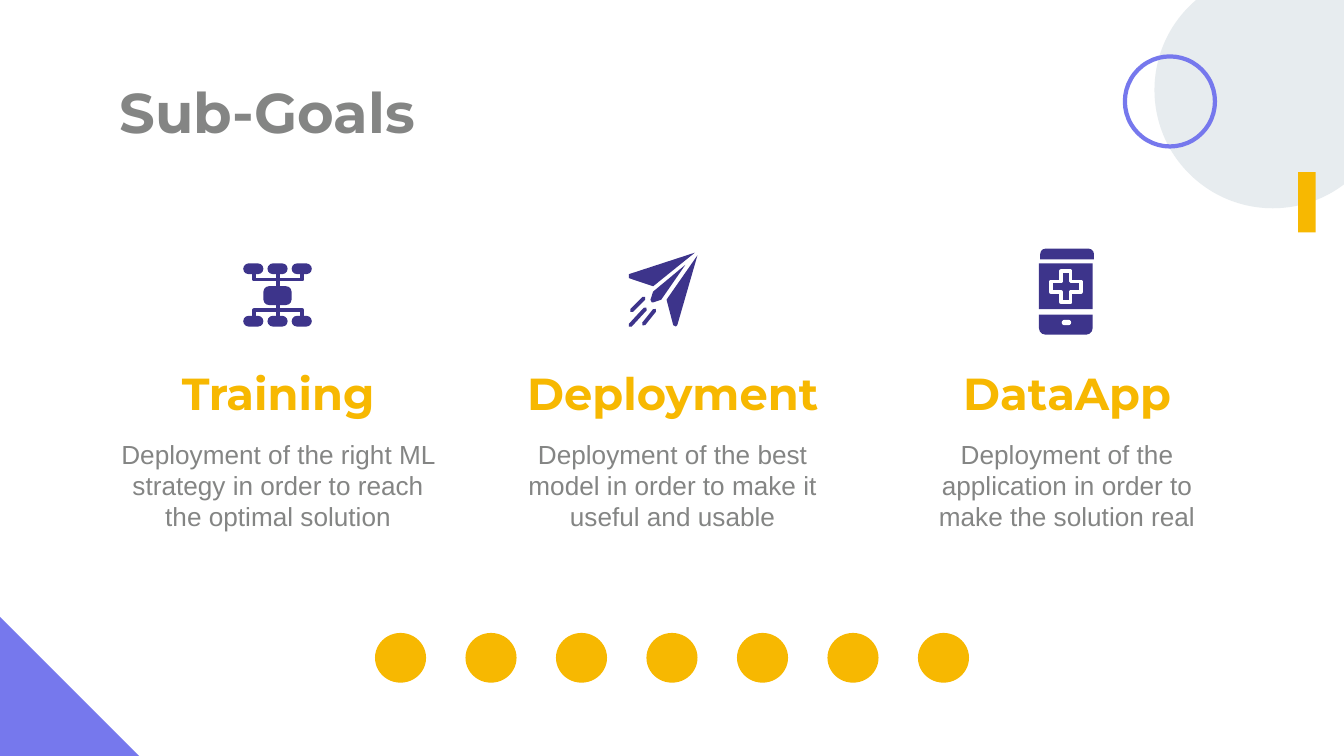
import dataclasses

import pptx
import pptx.dml.color
import pptx.enum.shapes
import pptx.enum.text
import pptx.oxml
import pptx.oxml.ns
import pptx.util

Inches = pptx.util.Inches
Pt = pptx.util.Pt
Kind = pptx.enum.shapes.MSO_SHAPE
Align = pptx.enum.text.PP_ALIGN
Anchor = pptx.enum.text.MSO_ANCHOR


@dataclasses.dataclass(frozen=True)
class Theme:
    white: str = "FFFFFF"
    pale: str = "E7ECEF"
    violet: str = "7678ED"
    navy: str = "3D348B"
    gold: str = "F7B801"
    grey: str = "848584"
    display: str = "Montserrat"
    body: str = "Arial"
    title: float = 30
    head: float = 24
    text: float = 14
    ring: float = 2.27
    stroke: float = 2.1


THEME = Theme()


def color(code):
    return pptx.dml.color.RGBColor.from_string(code)


def paint(shape, fill=None, line=None, width=THEME.stroke):
    shape.shadow.inherit = False
    if fill:
        shape.fill.solid()
        shape.fill.fore_color.rgb = color(fill)
    else:
        shape.fill.background()
    if line:
        shape.line.color.rgb = color(line)
        shape.line.width = Pt(width)
    else:
        shape.line.fill.background()
    return shape


def add_form(slide, kind, box, adjust=(), turn=0, **style):
    shape = slide.shapes.add_shape(kind, *map(Inches, box))
    for index, value in enumerate(adjust):
        shape.adjustments[index] = value
    shape.rotation = turn
    return paint(shape, **style)


def add_path(slide, points, close=True, **style):
    points = [(Inches(x), Inches(y)) for x, y in points]
    pen = slide.shapes.build_freeform(*points[0])
    pen.add_line_segments(points[1:], close=close)
    return paint(pen.convert_to_shape(), **style)


def add_line(slide, start, end, cap="flat"):
    line = slide.shapes.add_connector(
        pptx.enum.shapes.MSO_CONNECTOR.STRAIGHT, *map(Inches, start + end))
    line.line.color.rgb = color(THEME.navy)
    line.line.width = Pt(THEME.stroke)
    props = line.element.spPr
    props.find(pptx.oxml.ns.qn("a:ln")).set("cap", cap)
    props.append(pptx.oxml.parse_xml(
        f'<a:effectLst {pptx.oxml.ns.nsdecls("a")}/>'))


def add_text(slide, text, box, size, font, ink, bold=False,
             align=Align.CENTER, anchor=Anchor.TOP):
    frame = slide.shapes.add_textbox(*map(Inches, box)).text_frame
    frame.word_wrap = True
    frame.vertical_anchor = anchor
    frame.margin_left = frame.margin_right = Inches(0.1)
    frame.margin_top = frame.margin_bottom = Inches(0.1)
    para = frame.paragraphs[0]
    para.alignment = align
    run = para.add_run()
    run.text = text
    run.font.size = Pt(size)
    run.font.name = font
    run.font.bold = bold
    run.font.color.rgb = color(ink)


def add_decor(slide):
    add_form(slide, Kind.OVAL, (8.59, -0.21, 1.76, 1.76), fill=THEME.pale)
    add_form(slide, Kind.OVAL, (8.37, 0.42, 0.67, 0.67),
             line=THEME.violet, width=THEME.ring)
    add_form(slide, Kind.RECTANGLE, (9.66, 1.28, 0.13, 0.45), fill=THEME.gold)
    add_form(slide, Kind.RIGHT_TRIANGLE, (0, 4.59, 1.04, 1.04),
             fill=THEME.violet)


def add_net(slide):
    add_line(slide, (2.07, 2), (2.07, 2.39))
    for tip, bar in ((2.03, 2.08), (2.36, 2.31)):
        add_path(slide, [(1.89, tip), (1.89, bar), (2.25, bar), (2.25, tip)],
                 close=False, line=THEME.navy)
    for top in (1.96, 2.35):
        for col in range(3):
            add_form(slide, Kind.ROUNDED_RECTANGLE,
                     (1.81 + 0.18 * col, top, 0.15, 0.08),
                     adjust=(0.5,), fill=THEME.navy)
    add_form(slide, Kind.ROUNDED_RECTANGLE, (1.96, 2.13, 0.21, 0.14),
             adjust=(0.3,), fill=THEME.navy)


def add_plane(slide):
    wing = [(5.17, 1.88), (4.68, 2.04), (4.68, 2.07), (4.86, 2.13)]
    fold = [(5.1, 1.97), (4.86, 2.17), (4.84, 2.23), (4.85, 2.25),
            (4.86, 2.25), (4.92, 2.23)]
    tail = [(5.19, 1.9), (4.96, 2.23), (5.01, 2.42), (5.03, 2.43),
            (5.04, 2.42)]
    for part in (wing, fold, tail):
        add_path(slide, part, fill=THEME.navy)
    for start, end in (((4.79, 2.22), (4.7, 2.31)),
                       ((4.87, 2.31), (4.79, 2.41)),
                       ((4.8, 2.3), (4.69, 2.42))):
        add_line(slide, start, end, cap="rnd")


def add_phone(slide):
    cap = Kind.ROUND_2_SAME_RECTANGLE
    add_form(slide, cap, (7.74, 1.85, 0.4, 0.08), adjust=(0.5, 0),
             fill=THEME.navy)
    add_form(slide, Kind.RECTANGLE, (7.73, 1.96, 0.4, 0.34), fill=THEME.navy)
    add_form(slide, Kind.CROSS, (7.82, 2.02, 0.22, 0.23), adjust=(0.34,),
             fill=THEME.navy, line=THEME.white)
    add_form(slide, cap, (7.73, 2.34, 0.4, 0.15), adjust=(0.33, 0), turn=180,
             fill=THEME.navy)
    add_form(slide, Kind.ROUNDED_RECTANGLE, (7.9, 2.38, 0.07, 0.04),
             adjust=(0.5,), fill=THEME.white)


def add_goal(slide, left, head, text):
    add_text(slide, head, (left, 2.75, 2.56, 0.47), size=THEME.head,
             font=THEME.display, ink=THEME.gold, bold=True,
             anchor=Anchor.BOTTOM)
    add_text(slide, text, (left, 3.16, 2.56, 1), size=THEME.text,
             font=THEME.body, ink=THEME.grey)


def add_dots(slide, count=7, first=2.79, last=6.83):
    step = (last - first) / (count - 1)
    for index in range(count):
        add_form(slide, Kind.OVAL, (first + step * index, 4.71, 0.38, 0.37),
                 fill=THEME.gold)


def main():
    deck = pptx.Presentation()
    deck.slide_width = Inches(10)
    deck.slide_height = Inches(10 * 9 / 16)
    slide = deck.slides.add_slide(deck.slide_layouts[6])
    add_decor(slide)
    add_text(slide, "Sub-Goals", (0.79, 0.48, 8.43, 0.63), size=THEME.title,
             font=THEME.display, ink=THEME.grey, bold=True, align=Align.LEFT)
    goals = (
        ("Training", "Deployment of the right ML strategy in order to reach "
                     "the optimal solution"),
        ("Deployment", "Deployment of the best model in order to make it "
                       "useful and usable"),
        ("DataApp", "Deployment of the application in order to make the "
                    "solution real"),
    )
    step = (6.66 - 0.79) / 2
    for index, (head, text) in enumerate(goals):
        add_goal(slide, 0.79 + step * index, head, text)
    add_net(slide)
    add_plane(slide)
    add_phone(slide)
    add_dots(slide)
    deck.save("out.pptx")


if __name__ == "__main__":
    main()
